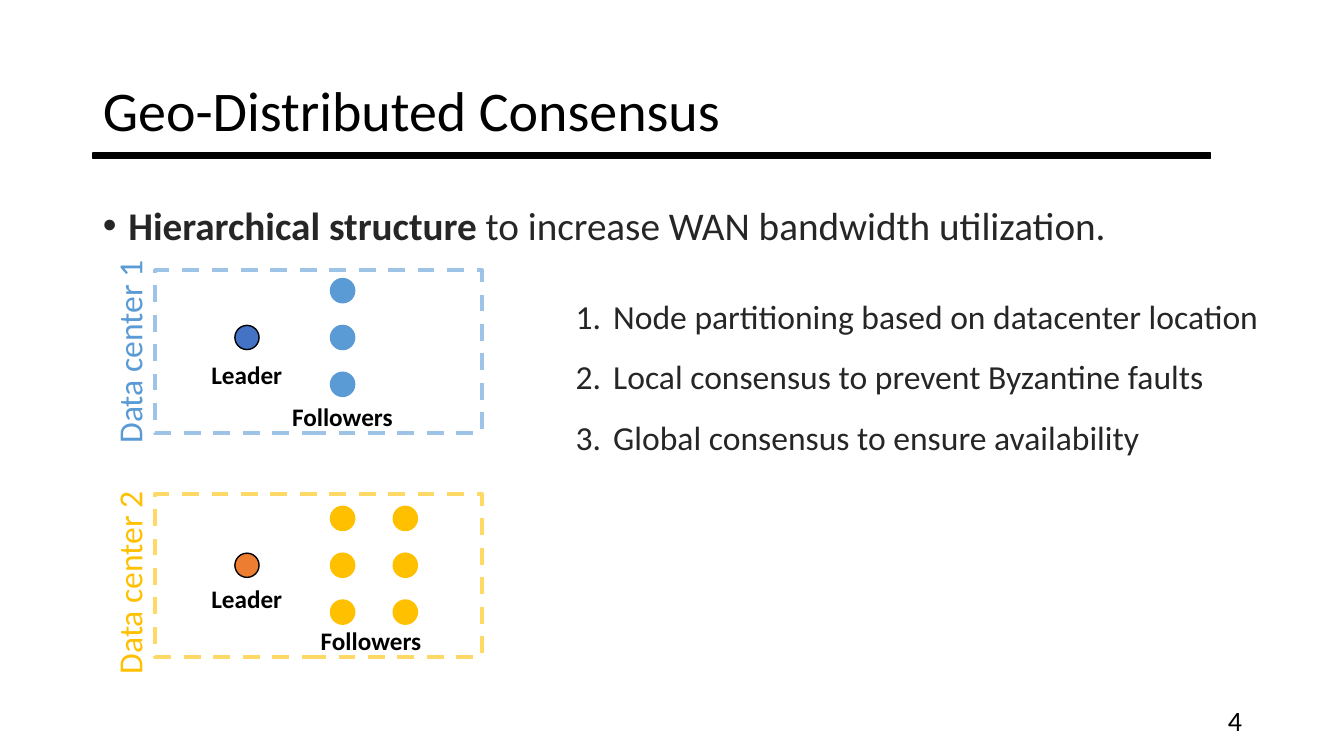
"""Build the slide on geo-distributed consensus."""
from dataclasses import dataclass

from lxml.etree import SubElement
from pptx import Presentation
from pptx.dml.color import RGBColor
from pptx.enum.dml import MSO_LINE
from pptx.enum.shapes import MSO_SHAPE
from pptx.enum.text import MSO_ANCHOR, MSO_AUTO_SIZE, PP_ALIGN
from pptx.oxml.ns import qn
from pptx.shapes.base import BaseShape
from pptx.slide import Slide
from pptx.text.text import _Paragraph as Para
from pptx.util import Cm, Pt

BLACK = RGBColor(0x00, 0x00, 0x00)
DARK = RGBColor(0x26, 0x26, 0x26)
NAVY = RGBColor(0x44, 0x72, 0xC4)
BLUE = RGBColor(0x5B, 0x9B, 0xD5)
PALE = RGBColor(0x9D, 0xC3, 0xE6)
RUST = RGBColor(0xED, 0x7D, 0x31)
GOLD = RGBColor(0xFF, 0xC0, 0x00)
SAND = RGBColor(0xFF, 0xD9, 0x66)
FONT = "Calibri"
DOT = 0.61
ROWS = 3
ROW_STEP = 1.18
COL_STEP = 1.58


@dataclass(frozen=True)
class Box:
    """A place on the slide, in centimetres."""
    left: float
    top: float
    width: float
    height: float


@dataclass(frozen=True)
class Center:
    """A data center with its leader and columns of followers."""
    name: str
    top: float
    mid: float
    side: float
    cols: int
    lead: RGBColor
    main: RGBColor
    edge: RGBColor


CENTERS = (
    Center("Data center 1", 6.81, 8.2, 8.23, 1, NAVY, BLUE, PALE),
    Center("Data center 2", 12.45, 13.94, 14.05, 2, RUST, GOLD, SAND),
)
STEPS = (
    "Node partitioning based on datacenter location",
    "Local consensus to prevent Byzantine faults",
    "Global consensus to ensure availability",
)


def place(shape: BaseShape, box: Box) -> None:
    """Move and size a shape."""
    shape.left, shape.top = Cm(box.left), Cm(box.top)
    shape.width, shape.height = Cm(box.width), Cm(box.height)


def add_run(para: Para, text: str, size: float, color: RGBColor,
            bold: bool = False) -> None:
    """Append one formatted run."""
    run = para.add_run()
    run.text = text
    font = run.font
    font.name, font.size, font.bold = FONT, Pt(size), bold
    font.color.rgb = color


def mark(para: Para, indent: float, tag: str, **attrs: str) -> None:
    """Give a paragraph a bullet or number with a hanging indent."""
    props = para._p.get_or_add_pPr()
    props.set("marL", str(Cm(indent)))
    props.set("indent", str(-Cm(indent)))
    SubElement(props, qn("a:buFont"), typeface="Arial" if tag == "a:buChar" else FONT)
    SubElement(props, qn(tag), **attrs)


def add_shape(slide: Slide, kind: MSO_SHAPE, box: Box, fill: RGBColor | None,
              line: RGBColor, width: float = 1) -> BaseShape:
    """Draw a preset shape with no shadow."""
    shape = slide.shapes.add_shape(kind, 0, 0, 0, 0)
    place(shape, box)
    shape.shadow.inherit = False
    if fill is None:
        shape.fill.background()
    else:
        shape.fill.solid()
        shape.fill.fore_color.rgb = fill
    shape.line.color.rgb = line
    shape.line.width = Pt(width)
    return shape


def add_label(slide: Slide, box: Box, text: str, size: float, color: RGBColor,
              bold: bool = False, align: PP_ALIGN = PP_ALIGN.CENTER) -> BaseShape:
    """Add a one-line text box."""
    label = slide.shapes.add_textbox(0, 0, 0, 0)
    place(label, box)
    label.text_frame.word_wrap = True
    para = label.text_frame.paragraphs[0]
    para.alignment = align
    add_run(para, text, size, color, bold)
    return label


def draw_center(slide: Slide, center: Center) -> None:
    """Draw one data center."""
    frame = add_shape(slide, MSO_SHAPE.RECTANGLE,
                      Box(3.91, center.top, 8.23, 4.11), None, center.edge, 3)
    frame.line.dash_style = MSO_LINE.DASH
    add_shape(slide, MSO_SHAPE.OVAL, Box(5.92, center.mid, DOT, DOT),
              center.lead, BLACK)
    for col in range(center.cols):
        for row in range(ROWS):
            spot = Box(8.33 + col * COL_STEP,
                       center.mid + (row - 1) * ROW_STEP, DOT, DOT)
            add_shape(slide, MSO_SHAPE.OVAL, spot, center.main, center.main)
    add_label(slide, Box(4.57, center.top + 2.13, 3.3, 1.02),
              "Leader", 18, BLACK, True)
    add_label(slide, Box(6.98 + 0.72 * (center.cols - 1), center.top + 3.18, 3.3, 1.02),
              "Followers", 18, BLACK, True)
    side = add_label(slide, Box(0.28, center.side, 5.94, 1.27),
                     center.name, 24, center.main)
    side.rotation = 270


def fill_text(slide: Slide) -> None:
    """Fill the title and both lists."""
    title, body, steps = slide.placeholders
    place(title, Box(2.34, 1.02, 29.21, 3.68))
    place(body, Box(2.34, 5.08, 29.21, 12.09))
    place(steps, Box(14.25, 6.81, 18.26, 4.72))
    for holder in (title, body, steps):
        holder.text_frame.auto_size = MSO_AUTO_SIZE.NONE
        holder.text_frame.word_wrap = True

    title.text_frame.vertical_anchor = MSO_ANCHOR.MIDDLE
    head = title.text_frame.paragraphs[0]
    head.alignment = PP_ALIGN.LEFT
    head.line_spacing = 0.9
    add_run(head, "Geo-Distributed Consensus", 40, BLACK)

    point = body.text_frame.paragraphs[0]
    point.line_spacing, point.space_before = 0.9, Pt(0)
    mark(point, 0.64, "a:buChar", char="•")
    add_run(point, "Hierarchical structure ", 28, DARK, True)
    add_run(point, "to increase WAN bandwidth utilization.", 28, DARK)

    for rank, text in enumerate(STEPS):
        frame = steps.text_frame
        para = frame.add_paragraph() if rank else frame.paragraphs[0]
        para.line_spacing, para.space_before = 1.5, Pt(0)
        mark(para, 0.95, "a:buAutoNum", type="arabicPeriod")
        add_run(para, text, 24, DARK)


def main() -> None:
    """Build and save the slide."""
    deck = Presentation()
    deck.slide_width, deck.slide_height = Cm(33.87), Cm(19.05)
    slide = deck.slides.add_slide(deck.slide_layouts[3])
    fill_text(slide)
    add_shape(slide, MSO_SHAPE.RECTANGLE, Box(2.34, 3.86, 28.17, 0.13), BLACK, BLACK)
    for center in CENTERS:
        draw_center(slide, center)
    page = add_label(slide, Box(23.93, 17.65, 7.62, 1.02), "4", 20, BLACK,
                     align=PP_ALIGN.RIGHT)
    page.text_frame.vertical_anchor = MSO_ANCHOR.MIDDLE
    deck.save("out.pptx")


if __name__ == "__main__":
    main()
